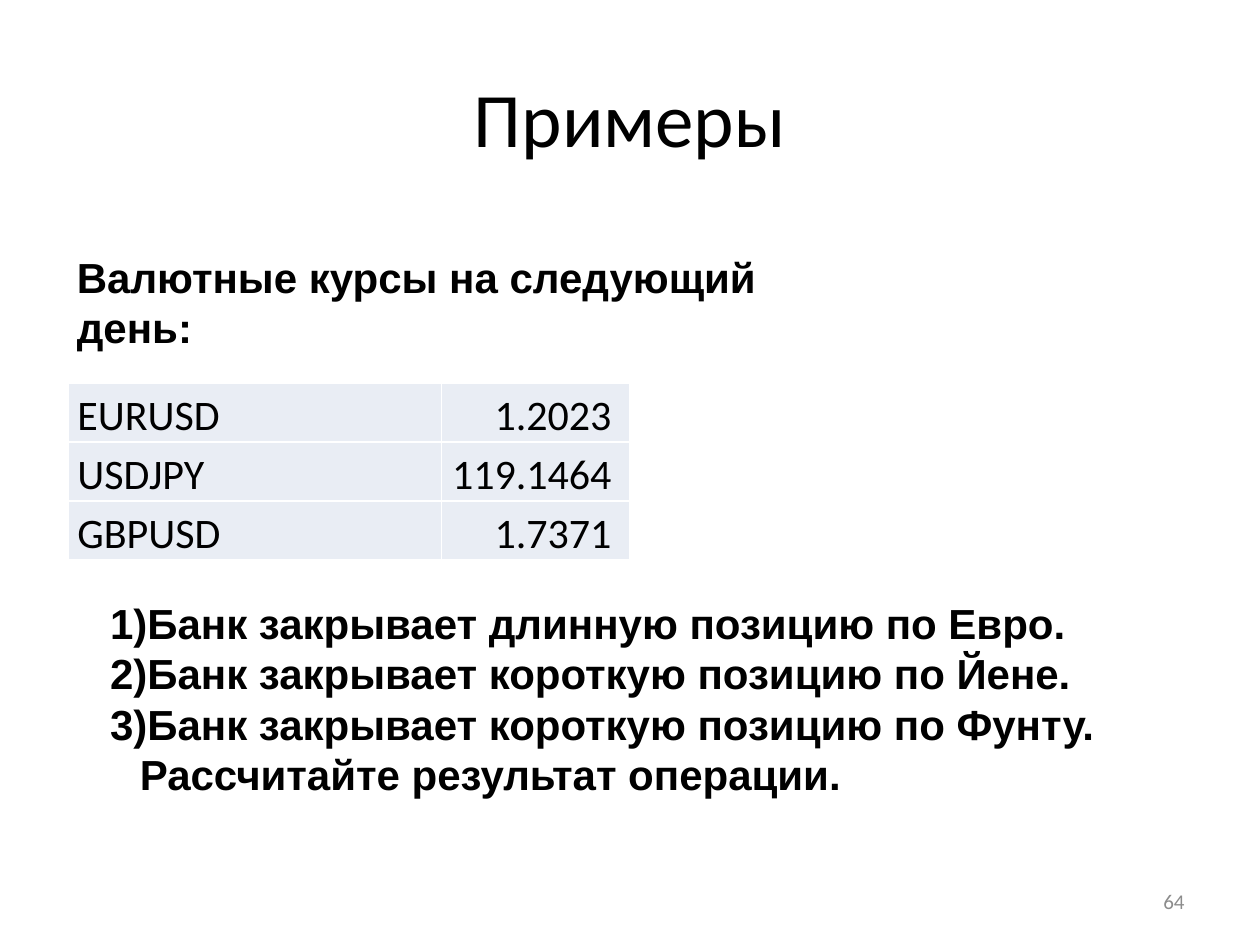
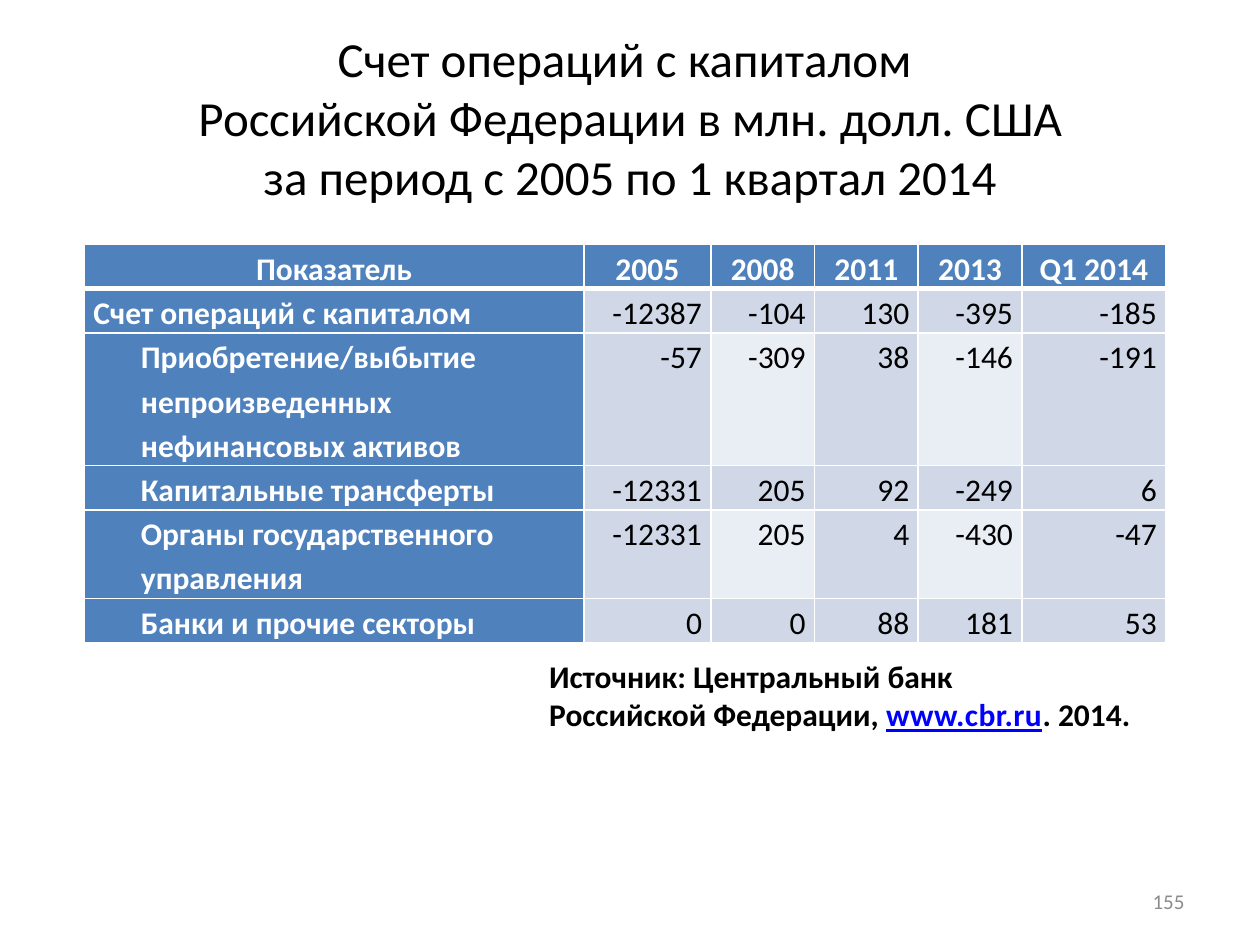
from dataclasses import dataclass
from typing import Callable, Optional

from pptx import Presentation
from pptx.dml.color import RGBColor
from pptx.enum.text import MSO_ANCHOR as Anchor, MSO_AUTO_SIZE as AutoSize, PP_ALIGN as Align
from pptx.oxml.ns import qn
from pptx.util import Cm, Pt
from lxml.etree import SubElement

COLORS = {
    "text": "000000",
    "white": "FFFFFF",
    "number": "8C8C8C",
    "link": "0000FF",
    "header": "4F81BD",
    "band": "D0D8E8",
    "light": "E9EDF4",
}
LINE_SPACING = 1.15
CELL_MARGIN = 0.18


@dataclass(frozen=True)
class TextStyle:
    size: float
    color: str = "text"
    bold: bool = False
    font: str = "Calibri"
    underline: bool = False
    spacing: float = 0


@dataclass(frozen=True)
class Box:
    left: float
    top: float
    width: float
    height: float


@dataclass(frozen=True)
class Line:
    """One paragraph: its runs, each a text with a style."""
    runs: list[tuple[str, TextStyle]]
    align: Align = Align.LEFT
    indent: float = 0
    numbered: bool = False


@dataclass(frozen=True)
class CellStyle:
    text: TextStyle
    fill: str
    align: Align = Align.LEFT
    anchor: Anchor = Anchor.TOP
    indent: float = 0
    bottom_border: float = 1


@dataclass(frozen=True)
class Grid:
    left: float
    top: float
    columns: list[float]
    line_height: float
    rows: list[list[str]]
    style: Callable[[int, int], CellStyle]
    row_lines: Optional[list[int]] = None


HEADING = TextStyle(24, bold=True, font="Arial")
NUMBER = TextStyle(12, "number")
SOURCE = TextStyle(18, bold=True)
LINK = TextStyle(18, "link", bold=True, underline=True, spacing=0.23)
RATE = TextStyle(24)
INDICATOR = TextStyle(18, "white", bold=True)
VALUE = TextStyle(18)

TITLE_BOX = Box(1.27, 0.76, 22.86, 3.18)
NUMBER_BOX = Box(18.21, 17.65, 5.92, 1.02)


# Text
def write_line(paragraph, line: Line) -> None:
    paragraph.alignment = line.align
    properties = paragraph._p.get_or_add_pPr()
    if line.indent:
        properties.set("marL", str(Cm(line.indent)))
        properties.set("indent", "0")
    if line.numbered:
        SubElement(properties, qn("a:buAutoNum"), type="arabicParenR")
    for text, style in line.runs:
        for index, part in enumerate(text.split("\n")):
            if index:
                paragraph.add_line_break()
            run = paragraph.add_run()
            run.text = part
            font = run.font
            font.name, font.size = style.font, Pt(style.size)
            font.bold, font.underline = style.bold, style.underline
            font.color.rgb = RGBColor.from_string(COLORS[style.color])
            if style.spacing:
                run._r.get_or_add_rPr().set("spc", str(round(style.spacing * 100)))


def write_lines(frame, lines: list[Line]) -> None:
    for index, line in enumerate(lines):
        write_line(frame.add_paragraph() if index else frame.paragraphs[0], line)


def add_text(slide, box: Box, lines: list[Line], anchor: Anchor = Anchor.TOP,
             auto_size: AutoSize = AutoSize.SHAPE_TO_FIT_TEXT) -> None:
    shape = slide.shapes.add_textbox(Cm(box.left), Cm(box.top), Cm(box.width), Cm(box.height))
    frame = shape.text_frame
    frame.word_wrap = True
    frame.auto_size = auto_size
    frame.vertical_anchor = anchor
    write_lines(frame, lines)


# Shared slide parts
def add_titled_slide(presentation, title: str, size: float, number: int):
    slide = presentation.slides.add_slide(presentation.slide_layouts[5])
    shape = slide.shapes.title
    shape.left, shape.top = Cm(TITLE_BOX.left), Cm(TITLE_BOX.top)
    shape.width, shape.height = Cm(TITLE_BOX.width), Cm(TITLE_BOX.height)
    frame = shape.text_frame
    frame.auto_size = AutoSize.NONE
    frame.vertical_anchor = Anchor.MIDDLE
    write_lines(frame, [Line([(title, TextStyle(size))], Align.CENTER)])
    add_text(slide, NUMBER_BOX, [Line([(str(number), NUMBER)], Align.RIGHT)],
             Anchor.MIDDLE, AutoSize.NONE)
    return slide


# Tables
def set_borders(cell, bottom: float) -> None:
    properties = cell._tc.get_or_add_tcPr()
    for side, width in (("lnL", 1), ("lnR", 1), ("lnT", 1), ("lnB", bottom)):
        border = SubElement(properties, qn(f"a:{side}"), w=str(Pt(width)))
        fill = SubElement(border, qn("a:solidFill"))
        SubElement(fill, qn("a:srgbClr"), val=COLORS["white"])


def fill_cell(cell, text: str, style: CellStyle) -> None:
    cell.margin_left = cell.margin_right = Cm(CELL_MARGIN)
    cell.margin_top = cell.margin_bottom = 0
    cell.vertical_anchor = style.anchor
    set_borders(cell, style.bottom_border)
    cell.fill.solid()
    cell.fill.fore_color.rgb = RGBColor.from_string(COLORS[style.fill])
    paragraph = cell.text_frame.paragraphs[0]
    paragraph.line_spacing = LINE_SPACING
    write_line(paragraph, Line([(text, style.text)], style.align, style.indent))


def add_grid(slide, grid: Grid) -> None:
    row_lines = grid.row_lines or [1] * len(grid.rows)
    frame = slide.shapes.add_table(
        len(grid.rows), len(grid.columns), Cm(grid.left), Cm(grid.top),
        Cm(sum(grid.columns)), Cm(grid.line_height * sum(row_lines)))
    table = frame.table
    table.first_row = table.horz_banding = False
    for column, width in zip(table.columns, grid.columns):
        column.width = Cm(width)
    for row_index, (row, texts) in enumerate(zip(table.rows, grid.rows)):
        row.height = Cm(grid.line_height * row_lines[row_index])
        for column_index, text in enumerate(texts):
            fill_cell(row.cells[column_index], text, grid.style(row_index, column_index))


def rate_style(row: int, column: int) -> CellStyle:
    return CellStyle(RATE, "light", Align.RIGHT if column else Align.LEFT, Anchor.BOTTOM)


def account_style(row: int, column: int) -> CellStyle:
    if row == 0:
        return CellStyle(INDICATOR, "header", Align.CENTER, Anchor.MIDDLE, bottom_border=3)
    if column == 0:
        return CellStyle(INDICATOR, "header", indent=0.96 if row > 1 else 0)
    light = row % 2 == 0 and column % 2 == 0
    return CellStyle(VALUE, "light" if light else "band", Align.RIGHT)


# Slide: exchange rates exercise
def build_examples(presentation) -> None:
    slide = add_titled_slide(presentation, "Примеры", 44, 64)
    add_grid(slide, Grid(1.38, 7.72, [7.52, 3.8], 1.17, [
        ["EURUSD", "1.2023 "],
        ["USDJPY", "119.1464 "],
        ["GBPUSD", "1.7371 "],
    ], rate_style))
    add_text(slide, Box(1.3, 4.93, 15.19, 2.31),
             [Line([("Валютные курсы на следующий день:", HEADING)])], Anchor.MIDDLE)
    tasks = [
        "Банк закрывает длинную позицию по Евро.",
        "Банк закрывает короткую позицию по Йене.",
        "Банк закрывает короткую позицию по Фунту.",
    ]
    lines = [Line([(task, HEADING)], indent=0.67, numbered=True) for task in tasks]
    lines.append(Line([("Рассчитайте результат операции.", HEADING)], indent=1.27))
    add_text(slide, Box(1.3, 11.92, 22.61, 4.37), lines)


# Slide: capital account
def build_capital_account(presentation) -> None:
    title = ("Счет операций с капиталом \nРоссийской Федерации в млн. долл. США\n"
             "за период с 2005 по 1 квартал 2014")
    slide = add_titled_slide(presentation, title, 28, 155)
    add_grid(slide, Grid(1.7, 4.93, [10.07, 2.56, 2.09, 2.09, 2.09, 2.9], 0.87, [
        ["Показатель", "2005", "2008", "2011", "2013", "Q1 2014"],
        ["Счет операций с капиталом", "-12387", "-104", "130", "-395", "-185"],
        ["Приобретение/выбытие непроизведенных нефинансовых активов",
         "-57", "-309", "38", "-146", "-191"],
        ["Капитальные трансферты", "-12331", "205", "92", "-249", "6"],
        ["Органы государственного управления", "-12331", "205", "4", "-430", "-47"],
        ["Банки и прочие секторы", "0", "0", "88", "181", "53"],
    ], account_style, row_lines=[1, 1, 3, 1, 2, 1]))
    add_text(slide, Box(10.82, 13.13, 12.7, 1.8), [Line([
        ("Источник: Центральный банк \nРоссийской Федерации, ", SOURCE),
        ("www.cbr.ru", LINK),
        (". 2014.", SOURCE),
    ])])


def main() -> None:
    presentation = Presentation()
    presentation.slide_width, presentation.slide_height = Cm(25.4), Cm(19.05)
    build_examples(presentation)
    build_capital_account(presentation)
    presentation.save("out.pptx")


if __name__ == "__main__":
    main()
